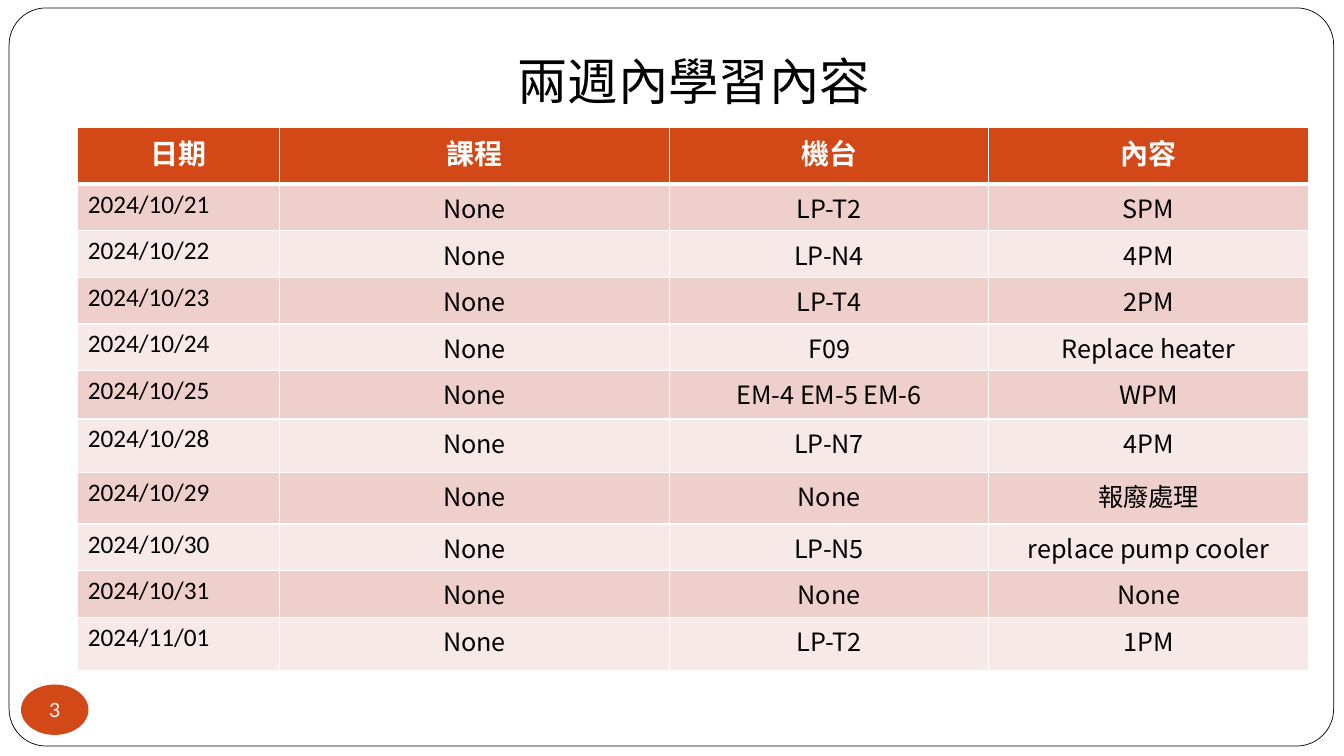
from lxml.etree import SubElement
from pptx import Presentation
from pptx.dml.color import RGBColor
from pptx.enum.shapes import MSO_SHAPE as Preset
from pptx.enum.text import MSO_ANCHOR as Anchor, MSO_AUTO_SIZE as AutoSize, PP_ALIGN as Align
from pptx.oxml.ns import qn
from pptx.util import Cm, Pt

CJK_FONT = "Noto Sans CJK SC"
BLACK, WHITE, ORANGE = "000000", "FFFFFF", "D34817"
BANDS = ["EFCFCC", "F7E9E8"]


def color(hex_string):
    return RGBColor.from_string(hex_string)


def write(text_frame, text, align, hex_color, **font_format):
    paragraph = text_frame.paragraphs[0]
    paragraph.alignment = align
    run = paragraph.add_run()
    run.text = text
    run.font.color.rgb = color(hex_color)
    for name, value in font_format.items():
        setattr(run.font, name, value)
    SubElement(run.font._element, qn("a:ea"), typeface=CJK_FONT)


presentation = Presentation()
presentation.slide_width, presentation.slide_height = Cm(33.87), Cm(19.05)
slide = presentation.slides.add_slide(presentation.slide_layouts[5])

# Rounded frame around the slide
frame = slide.shapes.add_shape(Preset.ROUNDED_RECTANGLE, Cm(0.23), Cm(0.2), Cm(33.38), Cm(18.6))
frame.shadow.inherit = False
frame.adjustments[0] = 0.05
frame.fill.solid()
frame.fill.fore_color.rgb = color(WHITE)
frame.line.color.rgb = color(BLACK)
frame.line.width = Pt(0.5)

# Page number badge
badge = slide.shapes.add_shape(Preset.OVAL, Cm(0.53), Cm(17.25), Cm(1.7), Cm(1.27))
badge.shadow.inherit = False
badge.fill.solid()
badge.fill.fore_color.rgb = color(ORANGE)
badge.line.fill.background()
badge_format = {"margin_left": 0, "margin_right": 0, "margin_top": 0, "margin_bottom": 0,
                "word_wrap": False, "vertical_anchor": Anchor.MIDDLE}
for name, value in badge_format.items():
    setattr(badge.text_frame, name, value)
write(badge.text_frame, "3", Align.CENTER, WHITE, name="Lato", size=Pt(14))

# Title, in front of the frame
title = slide.shapes.title
title_format = {"left": Cm(5.03), "top": Cm(1.12), "width": Cm(24.9), "height": Cm(1.8)}
for name, value in title_format.items():
    setattr(title, name, value)
title.text_frame.auto_size = AutoSize.NONE
title.text_frame.vertical_anchor = Anchor.MIDDLE
write(title.text_frame, "兩週內學習內容", Align.CENTER, BLACK, name=CJK_FONT, size=Pt(36))
slide.shapes._spTree.append(title._element)

# Learning log
rows = [
    ("日期", "課程", "機台", "內容"),
    ("2024/10/21", "None", "LP-T2", "SPM"),
    ("2024/10/22", "None", "LP-N4", "4PM"),
    ("2024/10/23", "None", "LP-T4", "2PM"),
    ("2024/10/24", "None", "F09", "Replace heater"),
    ("2024/10/25", "None", "EM-4 EM-5 EM-6", "WPM"),
    ("2024/10/28", "None", "LP-N7", "4PM"),
    ("2024/10/29", "None", "None", "報廢處理"),
    ("2024/10/30", "None", "LP-N5", "replace pump cooler"),
    ("2024/10/31", "None", "None", "None"),
    ("2024/11/01", "None", "LP-T2", "1PM"),
]
column_widths = [5.08, 9.83, 8.05, 8.05]
row_heights = [1.44, 1.17, 1.17, 1.17, 1.17, 1.22, 1.35, 1.3, 1.1, 1.17, 1.35]
table = slide.shapes.add_table(len(rows), len(column_widths), Cm(1.96), Cm(3.2),
                               Cm(sum(column_widths)), Cm(sum(row_heights))).table
table.horz_banding = False
for column, width in zip(table.columns, column_widths):
    column.width = Cm(width)

for row_index, values in enumerate(rows):
    table.rows[row_index].height = Cm(row_heights[row_index])
    is_header = row_index == 0
    for column_index, text in enumerate(values):
        cell = table.cell(row_index, column_index)
        is_date = column_index == 0 and not is_header
        write(cell.text_frame, text, Align.LEFT if is_date else Align.CENTER,
              WHITE if is_header else BLACK,
              name="Calibri" if is_header or is_date else CJK_FONT,
              size=Pt(20 if is_header else 18), bold=is_header)

        # White borders, thicker below the header; they precede the cell fill
        border_widths = {"a:lnL": 1, "a:lnR": 1, "a:lnT": 3 if row_index == 1 else 1,
                         "a:lnB": 3 if is_header else 1}
        properties = cell._tc.get_or_add_tcPr()
        for tag, width in border_widths.items():
            border = SubElement(properties, qn(tag), w=str(Pt(width)))
            SubElement(SubElement(border, qn("a:solidFill")), qn("a:srgbClr"), val=WHITE)
        cell.fill.solid()
        cell.fill.fore_color.rgb = color(ORANGE if is_header else BANDS[(row_index - 1) % 2])

presentation.save("out.pptx")
